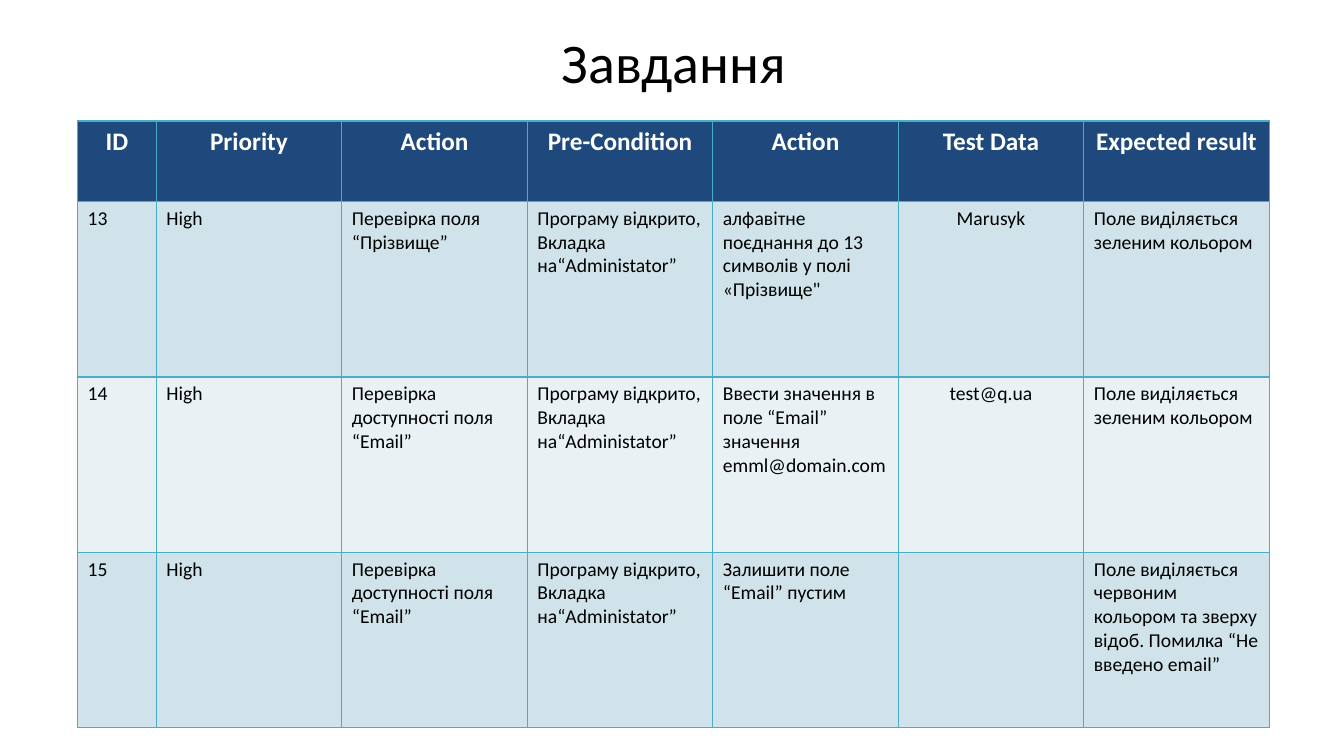
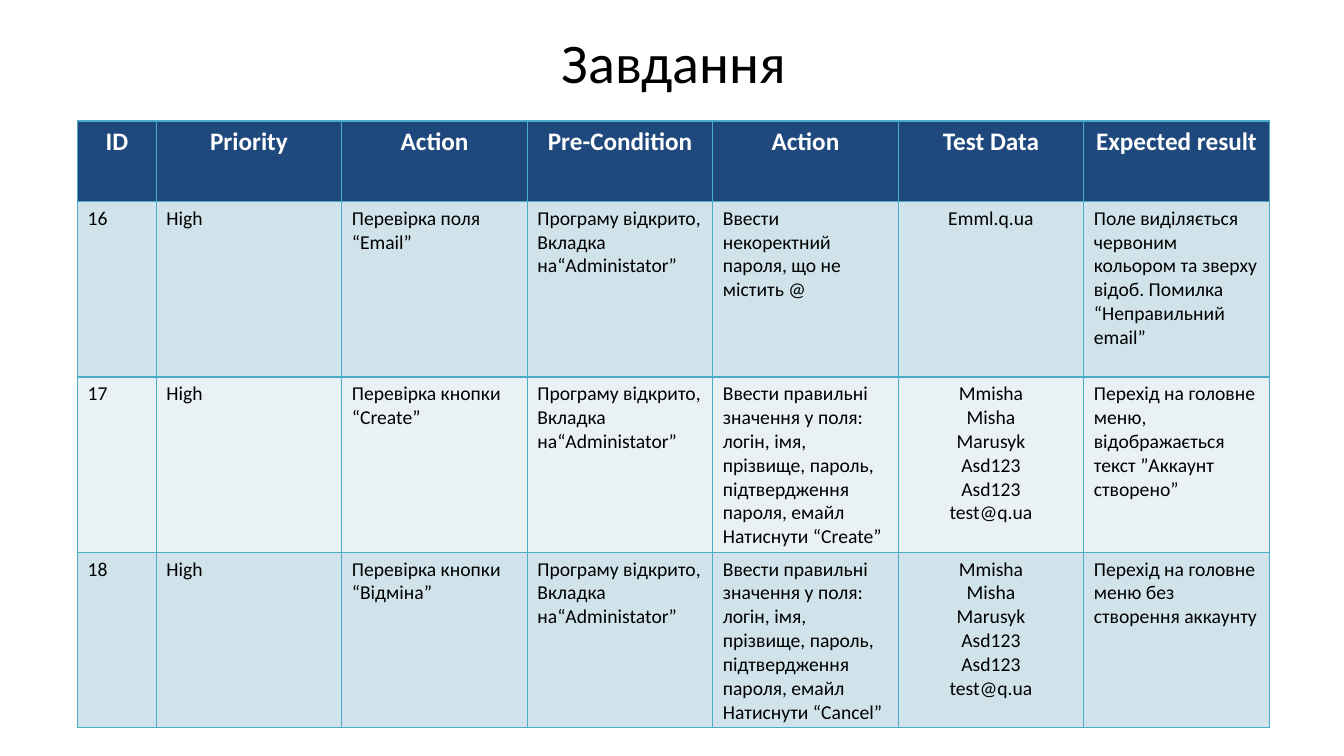
from lxml.etree import SubElement
from pptx import Presentation
from pptx.dml.color import RGBColor
from pptx.enum.text import MSO_ANCHOR as Anchor, PP_ALIGN as Align
from pptx.oxml.ns import qn
from pptx.util import Inches, Pt

BLACK = RGBColor(0x00, 0x00, 0x00)
WHITE = RGBColor(0xFF, 0xFF, 0xFF)
NAVY = RGBColor(0x1F, 0x49, 0x7D)
TEAL = RGBColor(0x4B, 0xAC, 0xC6)
BANDS = (RGBColor(0xD0, 0xE3, 0xEA), RGBColor(0xE9, 0xF1, 0xF5))

TITLE = "Завдання"
HEADERS = ("ID", "Priority", "Action", "Pre-Condition", "Action",
           "Test Data", "Expected result")
TEST_DATA_COLUMN = HEADERS.index("Test Data")
COLUMN_WIDTHS = [0.78] + [1.84] * 6
ROW_HEIGHTS = [0.8] + [1.74] * 3

PRIORITY = "High"
PRE_CONDITION = "Програму відкрито, Вкладка на“Administator”"
CHECK_EMAIL = "Перевірка доступності поля “Email”"
GREEN_FIELD = "Поле виділяється зеленим кольором"
RED_FIELD = "Поле виділяється червоним кольором та зверху відоб. Помилка "
FILL_FORM = ("Ввести правильні значення у поля: логін, імя, прізвище, "
             "пароль, підтвердження пароля, емайл\nНатиснути ")
EMAIL = "test@q.ua"
ACCOUNT = "\n".join(("Mmisha", "Misha", "Marusyk", "Asd123", "Asd123", EMAIL))

# Each case: ID, check, action, test data, expected result
SLIDES = (
    (
        ("13", "Перевірка поля “Прізвище”",
         "алфавітне поєднання до 13 символів у полі «Прізвище\"",
         "Marusyk", GREEN_FIELD),
        ("14", CHECK_EMAIL,
         "Ввести значення в поле “Email” значення emml@domain.com",
         EMAIL, GREEN_FIELD),
        ("15", CHECK_EMAIL, "Залишити поле “Email” пустим",
         "", RED_FIELD + "“Не введено email”"),
    ),
    (
        ("16", "Перевірка поля “Email”",
         "Ввести некоректний пароля, що не містить @",
         "Emml.q.ua", RED_FIELD + "“Неправильний email”"),
        ("17", "Перевірка кнопки “Create”", FILL_FORM + "“Create”", ACCOUNT,
         "Перехід на головне меню, відображається текст ”Аккаунт створено”"),
        ("18", "Перевірка кнопки “Відміна”", FILL_FORM + "“Cancel”", ACCOUNT,
         "Перехід на головне меню без створення аккаунту"),
    ),
)


class CaseDeck:
    """Holds the shared style and the current slide."""

    font = "Calibri"
    title_size = 40
    header_size = 18
    body_size = 14

    def __init__(self):
        """Start an empty widescreen deck."""
        self.deck = Presentation()
        self.deck.slide_width = Inches(13.33)
        self.deck.slide_height = Inches(7.5)
        self.page = None

    def add_page(self):
        """Open a blank slide with the shared title."""
        self.page = self.deck.slides.add_slide(self.deck.slide_layouts[6])
        box = self.page.shapes.add_textbox(
            Inches(1.27), Inches(0), Inches(10.83), Inches(1.22))
        box.text_frame.word_wrap = True
        box.text_frame.vertical_anchor = Anchor.MIDDLE
        self.add_text(box.text_frame, TITLE, self.title_size,
                      align=Align.CENTER)

    def add_text(self, frame, text, size, color=BLACK, bold=False,
                 align=Align.LEFT):
        """Add one paragraph for each line of text."""
        for index, line in enumerate(text.split("\n")):
            para = frame.add_paragraph() if index else frame.paragraphs[0]
            para.alignment = align
            span = para.add_run()
            span.text = line
            span.font.name = self.font
            span.font.size = Pt(size)
            span.font.bold = bold
            span.font.color.rgb = color

    def paint_cell(self, cell, color):
        """Give a cell its borders and fill."""
        properties = cell._tc.get_or_add_tcPr()
        for side in ("lnL", "lnR", "lnT", "lnB"):
            line = SubElement(properties, qn(f"a:{side}"), w=str(Pt(1)))
            fill = SubElement(line, qn("a:solidFill"))
            SubElement(fill, qn("a:srgbClr"), val=str(TEAL))
        cell.fill.solid()
        cell.fill.fore_color.rgb = color

    def add_case_table(self, cases):
        """Draw the header row and one banded row per test case."""
        rows = [HEADERS] + [
            (number, PRIORITY, check, PRE_CONDITION, action, data, expected)
            for number, check, action, data, expected in cases]
        table = self.page.shapes.add_table(
            len(rows), len(HEADERS), Inches(0.77), Inches(1.2),
            Inches(sum(COLUMN_WIDTHS)), Inches(sum(ROW_HEIGHTS))).table
        for column, width in zip(table.columns, COLUMN_WIDTHS):
            column.width = Inches(width)
        for row, height in zip(table.rows, ROW_HEIGHTS):
            row.height = Inches(height)
        for r, texts in enumerate(rows):
            for c, text in enumerate(texts):
                cell = table.cell(r, c)
                header = r == 0
                self.paint_cell(cell, NAVY if header else BANDS[(r - 1) % 2])
                centred = header or c == TEST_DATA_COLUMN
                if text:
                    self.add_text(
                        cell.text_frame, text,
                        self.header_size if header else self.body_size,
                        WHITE if header else BLACK, header,
                        Align.CENTER if centred else Align.LEFT)


def main():
    """Build every slide and save the deck."""
    builder = CaseDeck()
    for cases in SLIDES:
        builder.add_page()
        builder.add_case_table(cases)
    builder.deck.save("out.pptx")


main()
